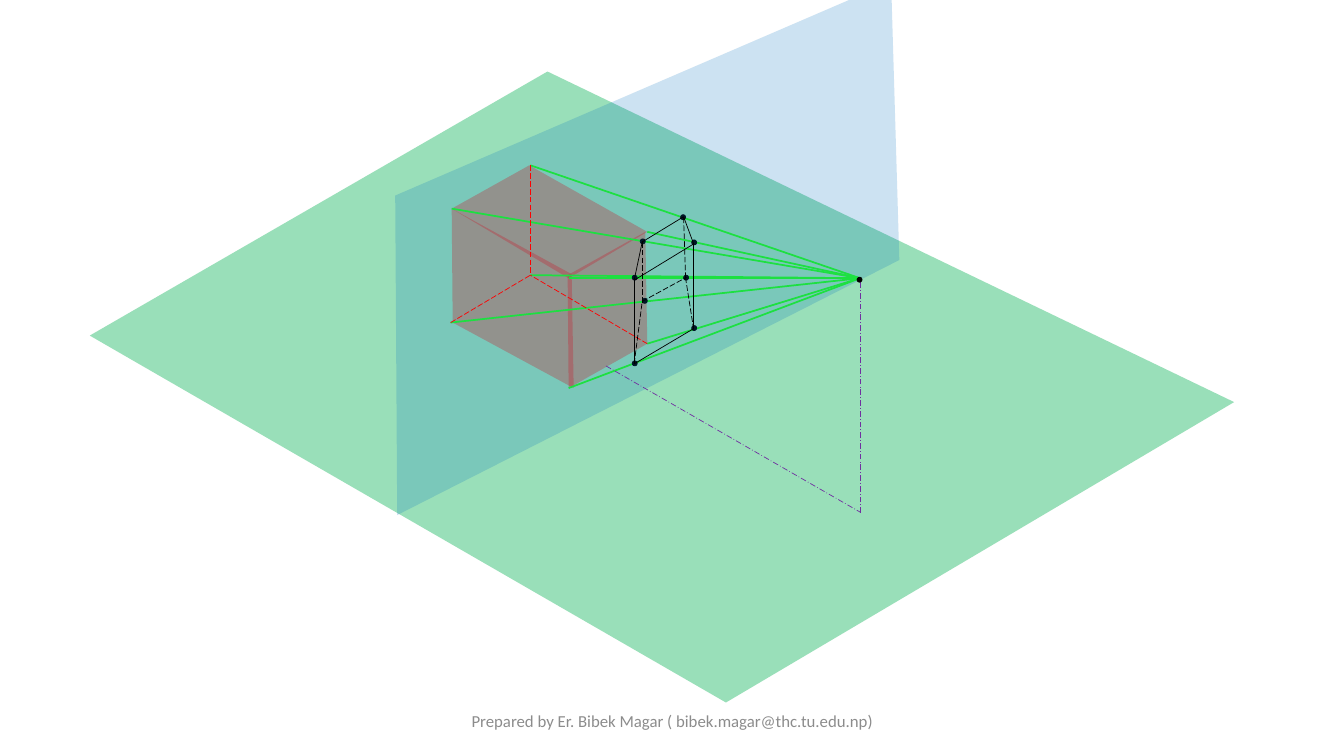
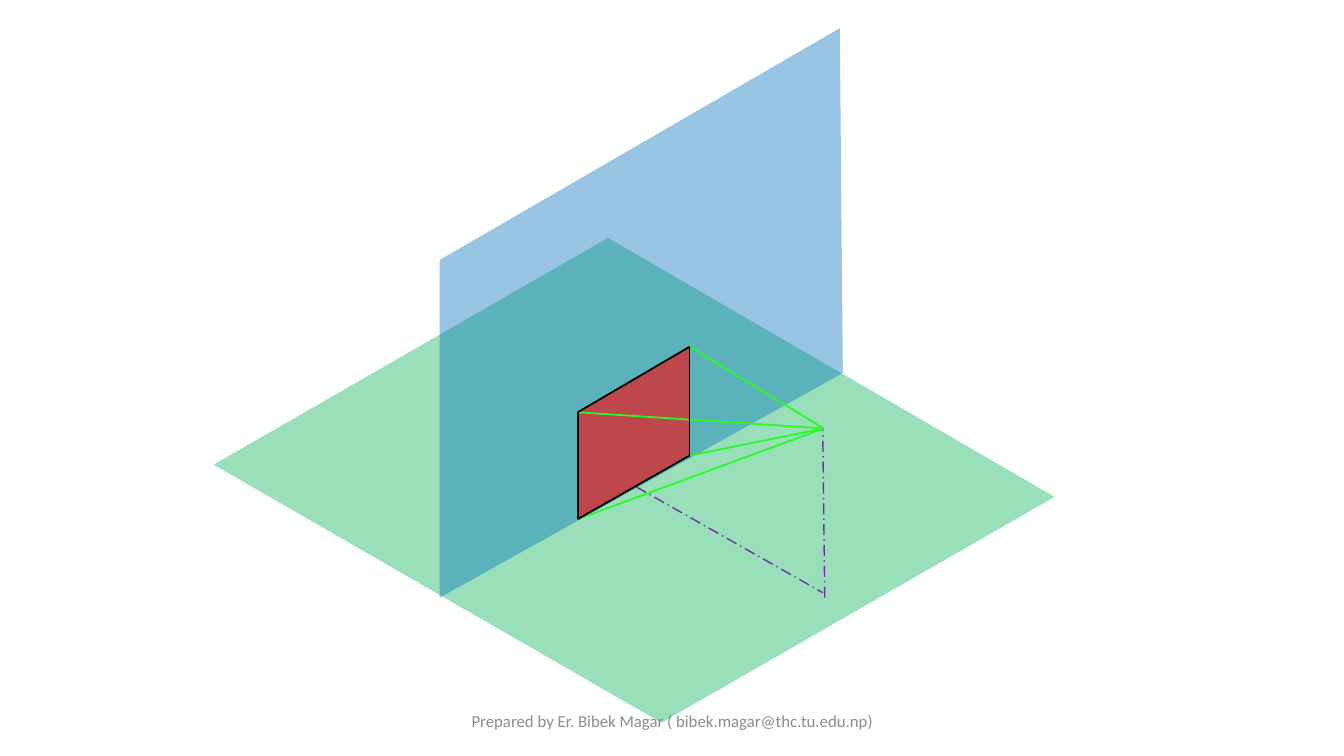
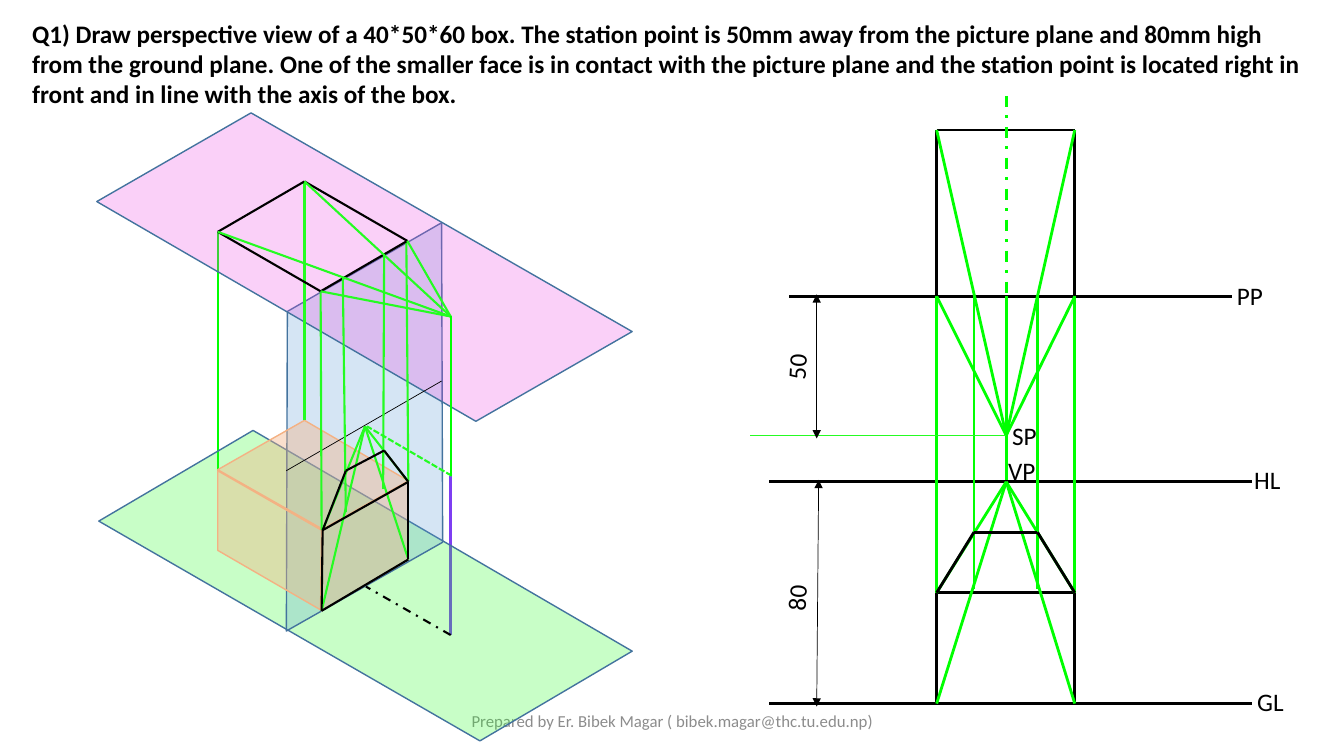
"""Perspective projection diagrams: two pictorial views and one worked question."""
from itertools import pairwise

from lxml import etree
from pptx import Presentation
from pptx import util as u
from pptx.dml.color import RGBColor
from pptx.enum import dml, shapes, text
from pptx.oxml.ns import qn

FONT = "Calibri"
DOT = 0.05
COLORS = {
    "black": "000000", "grey": "8C8C8C", "ground": "00B050", "plane": "0070C0",
    "red": "FF0000", "ray": "25FC22", "green": "00FF00", "purple": "7030A0",
    "violet": "7E3EF2", "sky": "5B9BD5", "outline": "43739E", "peach": "F4B183",
    "pink": "EC44E4",
}
DASH = dml.MSO_LINE
PENS = {
    "ray": ("ray", 1.25, None),
    "fine axis": ("purple", 0.5, DASH.LONG_DASH_DOT),
    "axis": ("purple", 1, DASH.LONG_DASH_DOT),
    "hidden box": ("red", 0.5, DASH.LONG_DASH),
    "image": ("black", 0.5, None),
    "hidden image": ("black", 0.5, DASH.LONG_DASH),
    "face": ("black", 1.25, None),
    "edge": ("black", 1.5, None),
    "ground axis": ("black", 1.5, DASH.DASH_DOT),
    "projector": ("ray", 1.5, None),
    "sight": ("ray", 1.5, DASH.SQUARE_DOT),
    "drop": ("green", 1.5, None),
    "height": ("violet", 1.75, None),
    "thin": ("black", 0, None),
    "thin ray": ("green", 0, None),
    "centre": ("green", 0, DASH.DASH_DOT),
    "level": ("ray", 0.5, None),
}

FOOTER = ("Prepared by Er. Bibek Magar ( bibek.magar@thc.tu.edu.np)", 4.42, 6.95, 4.5, 0.4)
QUESTION = (
    "Q1) Draw perspective view of a 40*50*60 box. The station point is 50mm away from the "
    "picture plane and 80mm high from the ground plane. One of the smaller face is in contact "
    "with the picture plane and the station point is located right in front and in line with "
    "the axis of the box.", 0.22, 0.13, 12.88, 1.01)

EYE = (8.53, 2.76)
BOX_FRONT = [(5.64, 3.85), (6.42, 3.41), (5.64, 2.76), (6.42, 2.3)]
BOX_BACK = [(4.47, 3.2), (4.48, 2.07), (5.26, 1.64), (5.26, 2.73)]
IMAGE_FRONT = [(6.29, 2.78), (6.88, 2.42), (6.88, 3.26), (6.29, 3.61), (6.29, 2.78)]
IMAGE_DOTS = [(6.27, 3.58), (6.86, 3.23), (6.27, 2.73), (6.86, 2.38),
              (6.35, 2.37), (6.75, 2.13), (6.37, 2.96), (6.78, 2.73)]
BOX_VIEW = [
    ("area", "ground", 40, None, [(0.89, 3.33), (7.2, 6.97), (12.24, 3.99), (5.43, 0.71)]),
    ("area", "red", 30, None, [(4.48, 2.07), (4.49, 3.2), (5.69, 3.85), (5.67, 2.72)]),
    ("area", "red", 30, None, [(5.64, 3.85), (6.42, 3.41), (6.4, 2.3), (5.63, 2.73)]),
    ("area", "red", 30, None, [(4.48, 2.07), (5.25, 1.64), (6.42, 2.3), (5.64, 2.76)]),
    ("rays", "ray", EYE, BOX_FRONT + BOX_BACK),
    ("dots", IMAGE_DOTS),
    ("area", "plane", 20, None,
     [(3.94, 5.11), (8.92, 2.58), (8.84, -0.14), (8.63, -0.09), (3.92, 1.94)]),
    ("path", "fine axis", [(6.01, 3.63), (8.53, 5.08)]),
    ("path", "fine axis", [(8.53, 5.09), (8.53, 2.78)]),
    ("rays", "hidden box", (5.26, 2.73), [(6.42, 3.41), (4.47, 3.2), (5.26, 1.64)]),
    ("path", "image", IMAGE_FRONT),
    ("path", "image", [(6.29, 2.78), (6.37, 2.4), (6.78, 2.15), (6.88, 2.42)]),
    ("path", "hidden image", [(6.29, 3.61), (6.37, 2.99), (6.81, 2.75)]),
    ("path", "hidden image", [(6.88, 3.27), (6.8, 2.76), (6.78, 2.16)]),
    ("path", "hidden image", [(6.37, 2.4), (6.37, 3.01)]),
    ("dots", [(8.5, 2.75)]),
]

FACE = [(5.73, 5.15), (5.73, 4.09), (6.84, 3.44), (6.84, 4.52)]
FACE_VIEW = [
    ("area", "ground", 40, None, [(2.12, 4.61), (6.56, 7.17), (10.46, 4.93), (6.03, 2.36)]),
    ("area", "plane", 40, None, [(4.36, 5.93), (4.36, 2.58), (8.33, 0.28), (8.36, 3.7)]),
    ("area", "red", 60, None, FACE),
    ("path", "axis", [(6.31, 4.83), (8.16, 5.88)]),
    ("path", "axis", [(8.18, 5.93), (8.16, 4.25)]),
    ("rays", "ray", (8.17, 4.25), FACE),
    ("path", "face", FACE + FACE[:1]),
]

PLAN = [(3.18, 2.89), (4.04, 2.39), (3.02, 1.8), (2.16, 2.3)]
NEAR = [(3.19, 6.06), (3.2, 5.26), (4.05, 4.78), (4.05, 5.55)]
STATION, VANISH = (4.47, 3.14), (3.62, 4.23)
PICTORIAL = [
    ("path", "drop", [(2.16, 4.67), (2.16, 2.3)]),
    ("path", "height", [(4.47, 6.3), (4.47, 4.72)]),
    ("area", "ray", 25, "outline", [(0.98, 5.17), (2.51, 4.27), (6.27, 6.46), (4.76, 7.35)]),
    ("area", "sky", 25, "outline", [(2.84, 6.26), (2.85, 3.09), (4.38, 2.21), (4.39, 5.38)]),
    ("area", "peach", 40, "peach", [(2.16, 5.46), (2.16, 4.67), (3.19, 5.26), (3.18, 6.05)]),
    ("area", "peach", 40, "peach", [(2.16, 4.66), (3.02, 4.17), (4.05, 4.77), (3.2, 5.25)]),
    ("area", "peach", 40, "peach", NEAR),
    ("path", "ground axis", [(4.47, 6.3), (3.63, 5.82)]),
    ("path", "sight", [(4.48, 4.72), (3.64, 4.23)]),
    ("area", "pink", 25, "outline", [(0.96, 2), (2.49, 1.12), (6.27, 3.29), (4.72, 4.18)]),
    ("path", "image", [(2.84, 4.67), (4.38, 3.78)]),
    ("path", "projector", [(3.19, 5.26), (3.18, 2.9)]),
    ("path", "projector", [(4.05, 4.77), (4.03, 2.38)]),
    ("path", "projector", [(3.02, 4.17), (3.02, 1.8)]),
    ("path", "edge", PLAN + PLAN[:1]),
    ("rays", "projector", STATION, PLAN),
    ("rays", "projector", VANISH, NEAR),
    ("path", "projector", [(3.4, 2.76), (3.43, 5.08)]),
    ("path", "projector", [(3.81, 2.53), (3.8, 4.85)]),
    ("path", "edge", NEAR + NEAR[:1]),
    ("path", "edge", [NEAR[1], (3.43, 4.67), (3.81, 4.47), NEAR[2]]),
    ("path", "drop", [(4.47, 4.72), STATION]),
]

LEFT, INNER_LEFT, MIDDLE, INNER_RIGHT, RIGHT = 9.29, 9.66, 9.98, 10.29, 10.66
BACK, PP, SP, HL, REAR, TOP, GL = 1.29, 2.94, 4.32, 4.78, 5.28, 5.88, 6.98
ORTHOGRAPHIC = [
    ("path", "thin", [(7.83, PP), (12.22, PP)]),
    ("path", "thin", [(LEFT, PP), (LEFT, BACK), (RIGHT, BACK), (RIGHT, PP)]),
    ("path", "centre", [(MIDDLE, 0.95), (MIDDLE, PP)]),
    ("rays", "thin ray", (MIDDLE, SP),
     [(MIDDLE, PP), (LEFT, PP), (RIGHT, PP), (LEFT, BACK), (RIGHT, BACK), (MIDDLE, HL)]),
    ("path", "thin", [(7.63, HL), (12.42, HL)]),
    ("path", "thin", [(7.63, GL), (12.42, GL)]),
    ("path", "thin ray", [(LEFT, PP), (LEFT, GL)]),
    ("path", "thin ray", [(RIGHT, PP), (RIGHT, GL)]),
    ("path", "thin", [(LEFT, GL), (LEFT, TOP), (RIGHT, TOP), (RIGHT, GL)]),
    ("rays", "thin ray", (MIDDLE, HL), [(LEFT, TOP), (RIGHT, TOP), (LEFT, GL), (RIGHT, GL)]),
    ("path", "thin ray", [(INNER_LEFT, PP), (INNER_LEFT, 5.84)]),
    ("path", "thin ray", [(INNER_RIGHT, PP), (INNER_RIGHT, 5.84)]),
    ("path", "thin", [(LEFT, TOP), (INNER_LEFT, REAR), (INNER_RIGHT, REAR), (RIGHT, TOP)]),
    ("path", "level", [(MIDDLE, SP), (7.44, SP)]),
    ("arrow", "image", [(8.1, 2.92), (8.1, 4.35)]),
    ("arrow", "image", [(8.12, 4.76), (8.1, 7.01)]),
]
LABELS = [
    ("PP", 12.17, 2.73, 0.59, 0), ("HL", 12.34, 4.56, 0.64, 0), ("GL", 12.37, 6.76, 0.51, 0),
    ("80", 7.58, 5.63, 0.65, 273.3), ("50", 7.58, 3.34, 0.65, 273.3),
    ("SP", 9.94, 4.12, 0.59, 0), ("VP", 9.9, 4.47, 0.59, 0),
]


def rgb(name):
    return RGBColor.from_string(COLORS[name])


def add_text(slide, words, left, top, width, height, size=18, color="black", bold=False):
    shape = slide.shapes.add_textbox(*map(u.Inches, (left, top, width, height)))
    shape.text_frame.word_wrap = True
    paragraph = shape.text_frame.paragraphs[0]
    paragraph.text = words
    font = paragraph.font
    font.name, font.size, font.bold = FONT, u.Pt(size), bold
    font.color.rgb = rgb(color)
    return shape


def add_area(slide, color, opacity, outline, points):
    corners = [(u.Inches(x), u.Inches(y)) for x, y in points]
    builder = slide.shapes.build_freeform(*corners[0])
    builder.add_line_segments(corners[1:], close=True)
    shape = builder.convert_to_shape()
    shape.shadow.inherit = False
    shape.fill.solid()
    shape.fill.fore_color.rgb = rgb(color)
    fill = shape.fill._xPr.find(qn("a:solidFill"))
    etree.SubElement(fill[0], qn("a:alpha"), val=str(opacity * 1000))
    if outline:
        shape.line.color.rgb = rgb(outline)
        shape.line.width = u.Pt(1)
    else:
        shape.line.fill.background()


def add_line(slide, pen, start, end):
    color, width, dash = PENS[pen]
    connector = slide.shapes.add_connector(
        shapes.MSO_CONNECTOR.STRAIGHT, *map(u.Inches, (*start, *end)))
    connector.line.color.rgb = rgb(color)
    connector.line.width = u.Pt(width)
    if dash:
        connector.line.dash_style = dash
    etree.SubElement(connector._element.spPr, qn("a:effectLst"))
    return connector


def add_path(slide, pen, points):
    for start, end in pairwise(points):
        add_line(slide, pen, start, end)


def add_rays(slide, pen, hub, points):
    for point in points:
        add_line(slide, pen, point, hub)


def add_arrow(slide, pen, points):
    line = add_line(slide, pen, *points).line._get_or_add_ln()
    for end in ("a:headEnd", "a:tailEnd"):
        etree.SubElement(line, qn(end), type="triangle")


def add_dots(slide, corners):
    for left, top in corners:
        shape = slide.shapes.add_shape(
            shapes.MSO_SHAPE.OVAL, *map(u.Inches, (left, top, DOT, DOT)))
        shape.shadow.inherit = False
        shape.fill.solid()
        shape.fill.fore_color.rgb = rgb("black")
        shape.line.color.rgb = rgb("black")
        shape.line.width = u.Pt(0.5)


DRAW = {"area": add_area, "path": add_path, "rays": add_rays,
        "arrow": add_arrow, "dots": add_dots}


def add_slide(presentation, parts):
    slide = presentation.slides.add_slide(presentation.slide_layouts[6])
    footer = add_text(slide, *FOOTER, size=12, color="grey").text_frame
    footer.vertical_anchor = text.MSO_ANCHOR.MIDDLE
    footer.paragraphs[0].alignment = text.PP_ALIGN.CENTER
    for kind, *details in parts:
        DRAW[kind](slide, *details)
    return slide


def main():
    presentation = Presentation()
    presentation.slide_width, presentation.slide_height = u.Inches(13.33), u.Inches(7.5)
    add_slide(presentation, BOX_VIEW)
    add_slide(presentation, FACE_VIEW)
    slide = add_slide(presentation, PICTORIAL + ORTHOGRAPHIC)
    add_text(slide, *QUESTION, bold=True)
    for words, left, top, width, rotation in LABELS:
        add_text(slide, words, left, top, width, 0.4).rotation = rotation
    presentation.save("out.pptx")


if __name__ == "__main__":
    main()
